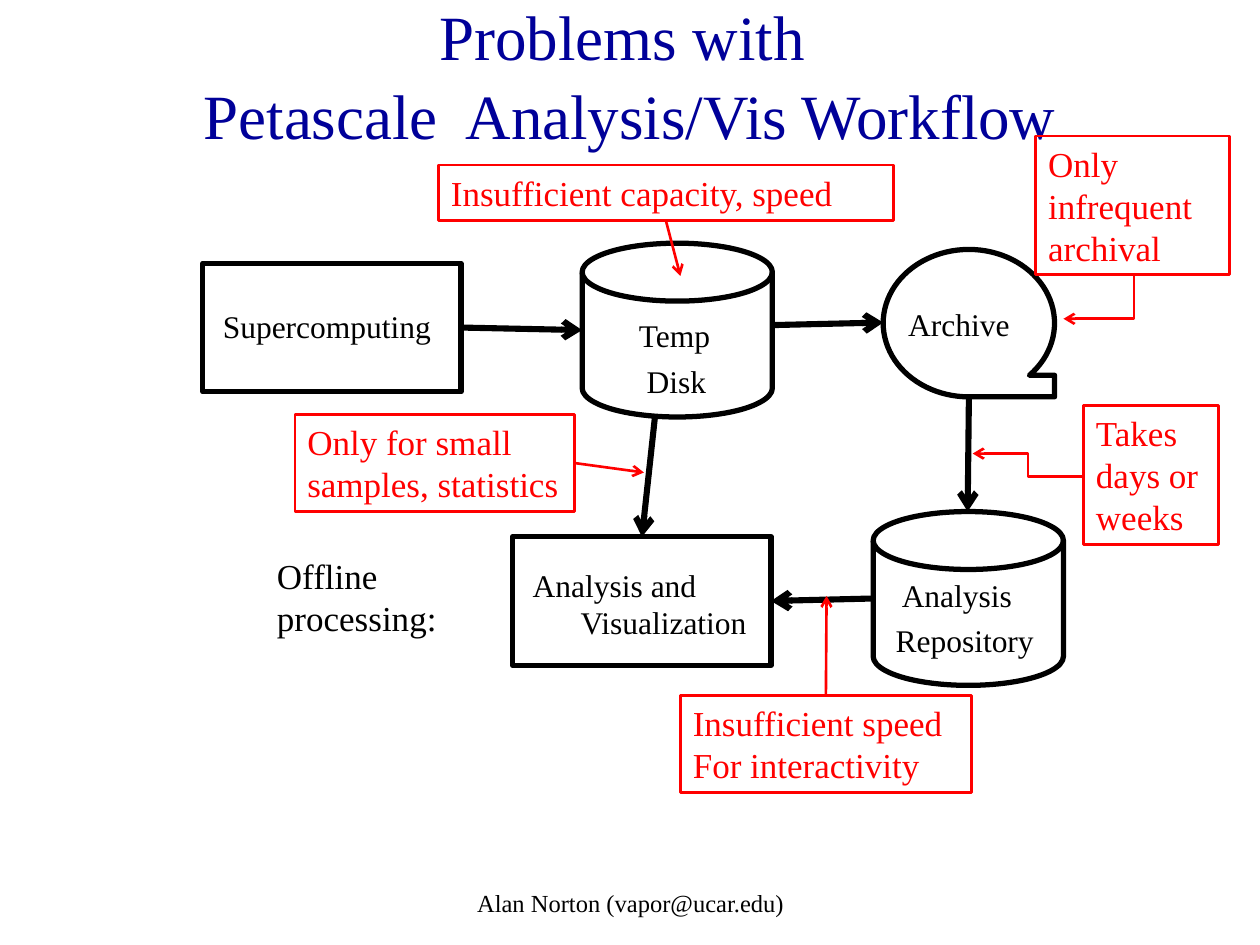
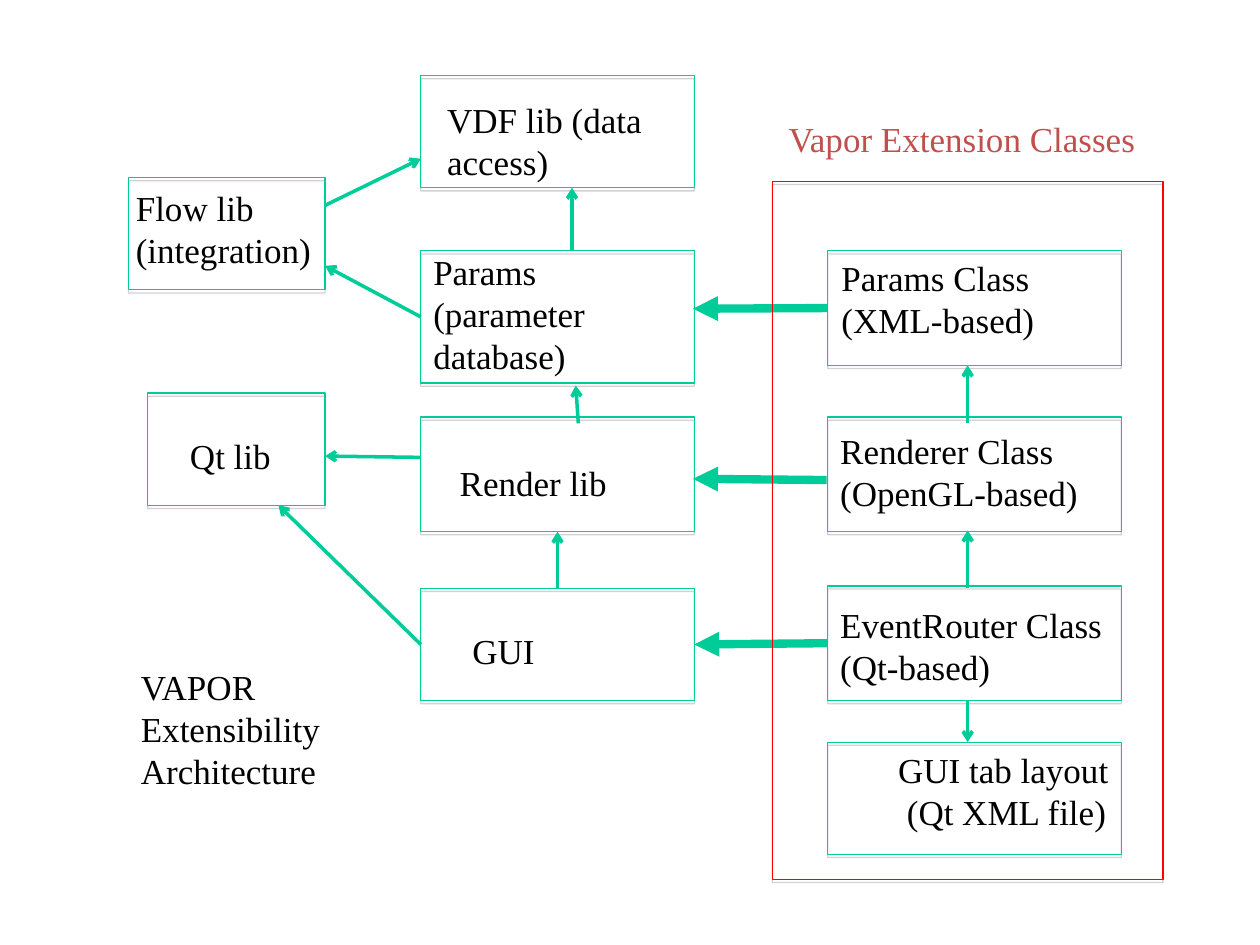
from lxml.etree import SubElement
from pptx import Presentation
from pptx.dml.color import RGBColor
from pptx.enum.shapes import MSO_CONNECTOR as Link, MSO_SHAPE as Shape
from pptx.enum.text import MSO_ANCHOR as Anchor, MSO_AUTO_SIZE as AutoSize, PP_ALIGN as Align
from pptx.oxml.ns import qn
from pptx.util import Inches, Pt

COLORS = {"title": "000099", "ink": "000000", "alert": "FF0000", "box": "00CC98",
          "arrow": "00CC99", "heading": "C0504D", "shadow": "808080"}
FONT = "Times New Roman"
TOP, LEFT, BOTTOM, RIGHT = range(4)

presentation = Presentation()
presentation.slide_width = Inches(10)
presentation.slide_height = Inches(7.5)
# Square grid: 100 columns by 75 rows
CELL = presentation.slide_width // 100


def write(shape, text, size=20, color="ink", align=Align.LEFT, hanging=0):
    """Fill a shape with one paragraph per line; a vertical tab breaks a line."""
    frame = shape.text_frame
    frame.word_wrap = True
    frame.auto_size = AutoSize.NONE
    for index, line in enumerate(text.split("\n")):
        paragraph = frame.add_paragraph() if index else frame.paragraphs[0]
        properties = paragraph._p.get_or_add_pPr()
        properties.set("marL", str(int(hanging * CELL)))
        properties.set("indent", str(int(-hanging * CELL)))
        SubElement(properties, qn("a:buNone"))
        paragraph.alignment = align
        paragraph.space_before = Pt(4.5 if hanging and index else 0)
        for part, words in enumerate(line.split("\v")):
            if part:
                paragraph.add_line_break()
            run = paragraph.add_run()
            run.text = words
            run.font.name = FONT
            run.font.size = Pt(size)
            run.font.color.rgb = RGBColor.from_string(COLORS[color])


def add_arrow(slide, start, end, color, width, head="arrow", kind=Link.STRAIGHT):
    """Draw an arrow; each end is a grid point or a (shape, side) pair."""
    joined = [not isinstance(point[0], (int, float)) for point in (start, end)]
    points = [(0, 0) if join else point for point, join in zip((start, end), joined)]
    connector = slide.shapes.add_connector(
        kind, *[int(value * CELL) for point in points for value in point])
    if joined[0]:
        connector.begin_connect(*start)
    if joined[1]:
        connector.end_connect(*end)
    connector.line.color.rgb = RGBColor.from_string(COLORS[color])
    connector.line.width = Pt(width)
    SubElement(connector.line._get_or_add_ln(), qn("a:tailEnd"), type=head)
    SubElement(connector._element.spPr, qn("a:effectLst"))
    return connector


# ---- Slide 1: workflow problems ----
slide = presentation.slides.add_slide(presentation.slide_layouts[1])
title, disk_label = slide.placeholders
for placeholder, place in ((title, (7.5, 0, 85, 11.6)), (disk_label, (49.7, 24.6, 8.4, 7.7))):
    placeholder.left, placeholder.top, placeholder.width, placeholder.height = [
        int(value * CELL) for value in place]
write(title, "Problems with \vPetascale  Analysis/Vis Workflow", 36, "title", Align.CENTER)
title.text_frame.vertical_anchor = Anchor.MIDDLE
title.text_frame.paragraphs[0].line_spacing = 1.05
write(disk_label, "Temp\n Disk", 18, hanging=3.8)
disk_label.text_frame.vertical_anchor = Anchor.TOP

# Workflow stages
stages = {}
for name, kind, place in (
    ("supercomputing", Shape.RECTANGLE, (16.1, 20.9, 20.5, 10.2)),
    ("temp disk", Shape.FLOWCHART_MAGNETIC_DISK, (46.2, 19.3, 15.1, 13.8)),
    ("archive", Shape.FLOWCHART_SEQUENTIAL_ACCESS_STORAGE, (70.1, 19.8, 13.6, 11.7)),
    ("analysis", Shape.RECTANGLE, (40.7, 42.6, 20.5, 10.2)),
    ("repository", Shape.FLOWCHART_MAGNETIC_DISK, (69.3, 40.6, 15.1, 13.8)),
):
    shape = slide.shapes.add_shape(kind, *[int(value * CELL) for value in place])
    shape.shadow.inherit = False
    shape.fill.background()
    shape.line.color.rgb = RGBColor.from_string(COLORS["ink"])
    shape.line.width = Pt(3)
    stages[name] = shape

# Stage labels and footer
for text, place, size, align, hanging in (
    ("Archive", (71.1, 23.7, 11.4, 4), 18, Align.LEFT, 0),
    ("Supercomputing", (16.7, 23.9, 19.3, 4), 18, Align.LEFT, 3.8),
    ("Analysis and Visualization", (41.3, 44.4, 19.3, 7), 18, Align.LEFT, 3.8),
    (" Analysis\nRepository", (70.1, 45.2, 13.1, 7.7), 18, Align.LEFT, 3.8),
    ("Offline processing:", (21, 43.5, 17.4, 7.7), 20, Align.LEFT, 0),
    ("Alan Norton (vapor@ucar.edu)", (34.2, 70, 31.7, 3.3), 14, Align.CENTER, 0),
):
    label = slide.shapes.add_textbox(*[int(value * CELL) for value in place])
    write(label, text, size, align=align, hanging=hanging)

# Data flow between stages
for start, end in (
    ((stages["supercomputing"], RIGHT), (46.2, 26.2)),
    ((61.4, 25.8), (70.1, 25.6)),
    ((76.9, 31.5), (76.8, 40.6)),
    ((69.3, 47.5), (stages["analysis"], RIGHT)),
    ((52, 32.9), (stages["analysis"], TOP)),
):
    add_arrow(slide, start, end, "ink", 3.5)

# Problem notes
notes = {}
for name, text, place in (
    ("delay", "Takes days or weeks", (86, 32.2, 10.7, 11)),
    ("archival", "Only infrequent archival", (82.2, 10.8, 15.4, 11)),
    ("capacity", "Insufficient capacity, speed", (34.8, 13.1, 36.1, 4.4)),
    ("speed", "Insufficient speed\nFor interactivity", (54, 55.2, 23.1, 7.7)),
    ("samples", "Only for small samples, statistics", (23.4, 32.9, 22.2, 7.7)),
):
    note = slide.shapes.add_textbox(*[int(value * CELL) for value in place])
    note.line.color.rgb = RGBColor.from_string(COLORS["alert"])
    note.line.width = Pt(1.5)
    write(note, text, color="alert")
    notes[name] = note

# Pointers from notes to the flow
for start, end, kind in (
    ((notes["capacity"], BOTTOM), (54, 21.9), Link.STRAIGHT),
    ((notes["speed"], TOP), (65.6, 47.3), Link.STRAIGHT),
    ((notes["samples"], RIGHT), (51.1, 37.5), Link.STRAIGHT),
    ((86, 37.8), (77.2, 36), Link.ELBOW),
):
    add_arrow(slide, start, end, "alert", 1.5, kind=kind)

# Single-bend pointer: down from the note, then left
bend = add_arrow(slide, (85.5, 20.8), (88.9, 26.4), "alert", 1.5, kind=Link.ELBOW)
bend._element.spPr.find(qn("a:prstGeom")).set("prst", "bentConnector2")
bend._element.spPr.find(qn("a:xfrm")).set("rot", str(90 * 60000))

# ---- Slide 2: extensibility architecture ----
slide = presentation.slides.add_slide(presentation.slide_layouts[6])
LIB, LIB_WIDTH = 33.4, 21.7
CLASS, CLASS_WIDTH = 65.7, 23.3
CLASS_AXIS = 76.8

# Module boxes, with the extension frame last
boxes = {}
for name, place, color in (
    ("params", (LIB, 19.9, LIB_WIDTH, 10.5), "box"),
    ("render", (LIB, 33.1, LIB_WIDTH, 9.1), "box"),
    ("gui", (LIB, 46.7, LIB_WIDTH, 8.9), "box"),
    ("vdf", (LIB, 6, LIB_WIDTH, 8.9), "box"),
    ("qt", (11.7, 31.2, 14.1, 8.9), "box"),
    ("flow", (10.2, 14.1, 15.6, 8.9), "box"),
    ("params class", (CLASS, 19.9, CLASS_WIDTH, 9.1), "box"),
    ("renderer class", (CLASS, 33.1, CLASS_WIDTH, 9.1), "box"),
    ("router class", (CLASS, 46.5, CLASS_WIDTH, 9.1), "box"),
    ("tab layout", (CLASS, 58.9, CLASS_WIDTH, 8.9), "box"),
    ("extension frame", (61.3, 14.4, 31, 55.4), "alert"),
):
    box = slide.shapes.add_shape(Shape.RECTANGLE, *[int(value * CELL) for value in place])
    box.fill.background()
    box.line.color.rgb = RGBColor.from_string(COLORS[color])
    box.line.width = Pt(0.75)
    box.shadow.inherit = False
    effects = box._element.spPr.find(qn("a:effectLst"))
    shadow = SubElement(effects, qn("a:outerShdw"), blurRad="0", dist=str(Pt(1.8)),
                        dir=str(90 * 60000), rotWithShape="0")
    shade = SubElement(shadow, qn("a:srgbClr"), val=COLORS["shadow"])
    SubElement(shade, qn("a:alpha"), val="35000")
    boxes[name] = box

# Module labels
for text, place, color in (
    ("VDF lib (data access)", (34.5, 7.3, 20.5, 7.7), "ink"),
    ("Params\n(parameter\ndatabase)", (LIB, 19.4, 21.9, 11), "ink"),
    ("Render lib", (35.5, 36.1, 15.1, 4.4), "ink"),
    ("GUI", (36.5, 49.5, 11, 4.4), "ink"),
    ("Flow lib (integration)", (9.8, 14.3, 18.6, 7.7), "ink"),
    ("Qt lib", (14.1, 34, 9.4, 4.4), "ink"),
    ("VAPOR Extensibility Architecture", (10.2, 52.3, 20.4, 11), "ink"),
    ("Params Class\n(XML-based)", (65.8, 19.9, 22.4, 7.7), "ink"),
    ("Renderer Class (OpenGL-based)", (CLASS, 33.6, CLASS_WIDTH, 7.7), "ink"),
    ("EventRouter Class (Qt-based)", (CLASS, 47.4, 24, 7.7), "ink"),
    ("GUI tab layout\n (Qt XML file)", (70.3, 58.9, 20, 7.7), "ink"),
    ("Vapor Extension Classes", (61.6, 8.8, 30.5, 4.4), "heading"),
):
    label = slide.shapes.add_textbox(*[int(value * CELL) for value in place])
    write(label, text, color=color)

# Thick arrows: extension classes plug into libraries
for start, end in (
    ((boxes["params class"], LEFT), (55, 24.5)),
    ((65.6, 38.1), (55, 38)),
    ((boxes["router class"], LEFT), (boxes["gui"], RIGHT)),
):
    add_arrow(slide, start, end, "arrow", 4.75, "triangle")

# Thin arrows: dependencies
for start, end in (
    ((boxes["gui"], TOP), (boxes["render"], BOTTOM)),
    ((45.9, 33.6), (45.7, 30.6)),
    ((45.4, 19.9), (45.4, 14.9)),
    ((boxes["gui"], LEFT), (22.1, 40.1)),
    ((33.4, 36.3), (25.8, 36.2)),
    ((boxes["params"], LEFT), (25.8, 21.1)),
    ((25.8, 16.3), (33.4, 12.6)),
    ((CLASS_AXIS, 46.7), (CLASS_AXIS, 42.1)),
    ((CLASS_AXIS, 33.6), (CLASS_AXIS, 29)),
    ((CLASS_AXIS, 55.6), (CLASS_AXIS, 58.9)),
):
    add_arrow(slide, start, end, "arrow", 2)

# The frame lies over the arrows that cross it
slide.shapes._spTree.append(boxes["extension frame"]._element)

presentation.save("out.pptx")
